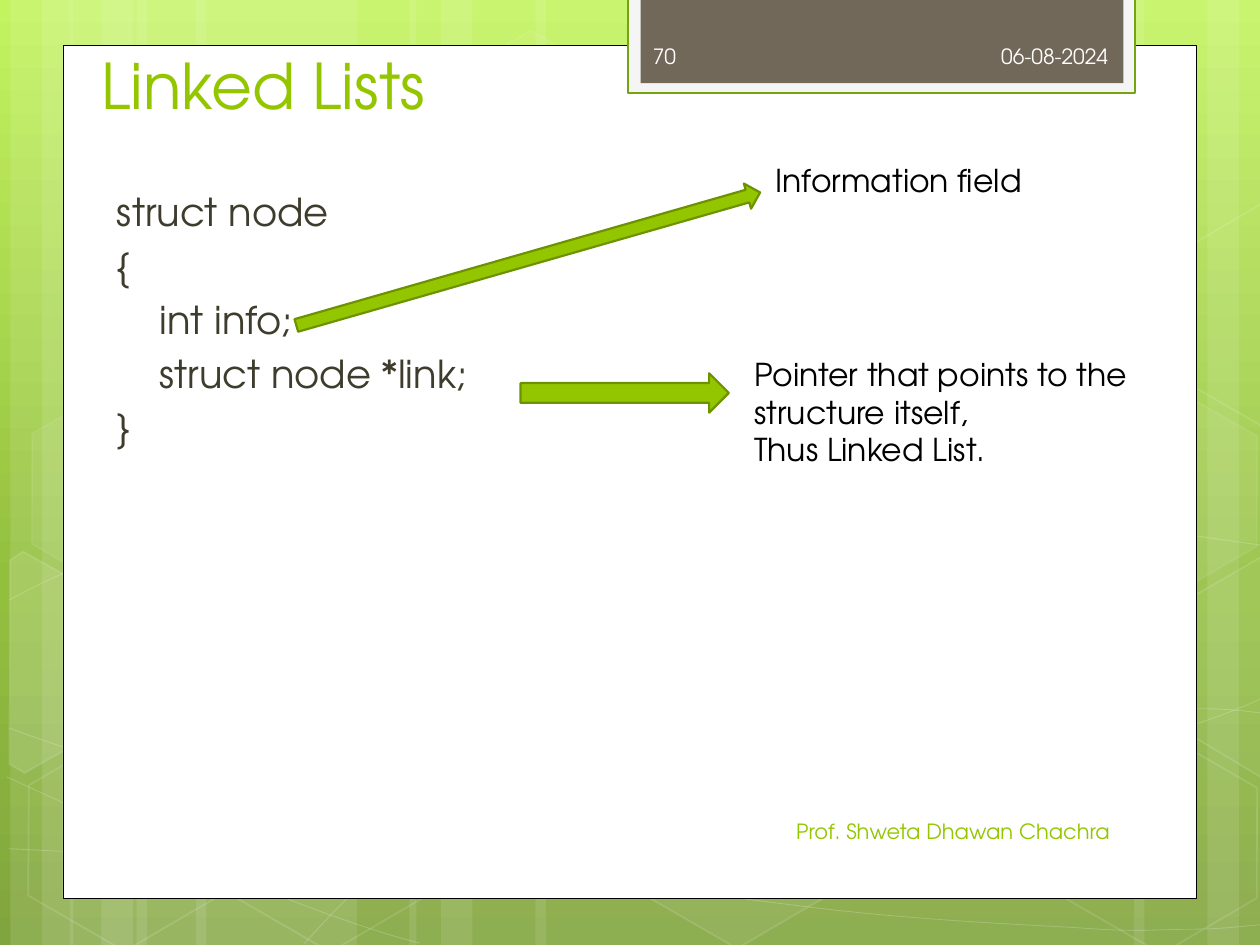
from copy import deepcopy

from lxml import etree
from pptx import Presentation
from pptx.dml.color import RGBColor
from pptx.enum import shapes, text
from pptx.oxml.ns import qn
from pptx.util import Pt

FONT = "TeX Gyre Adventor"
COLORS = {
    "white": "FFFFFF", "black": "000000", "green": "94C600",
    "dark green": "6D9200", "tab edge": "74A510", "tab": "F5F5F5",
    "brown": "71685A", "code": "3E3D2D", "pale": "FEFEFE",
    "sky top": "C3F35F", "sky middle": "93BF3F", "sky bottom": "81A53E",
}


def paint(shape, fill=None, line=None, width=1, fill_alpha=100, line_alpha=100):
    """Set fill and line; alphas are percentages of opacity."""
    shape.shadow.inherit = False
    for part, color, alpha in ((shape.fill, fill, fill_alpha),
                               (shape.line.fill, line, line_alpha)):
        if color is None:
            part.background()
            continue
        part.solid()
        part.fore_color.rgb = RGBColor.from_string(COLORS[color])
        if alpha < 100:
            owner = shape._element.spPr if part is shape.fill else shape.line._ln
            tone = owner.find(qn("a:solidFill")).find(qn("a:srgbClr"))
            etree.SubElement(tone, qn("a:alpha")).set("val", str(alpha * 1000))
    if line:
        shape.line.width = Pt(width)


def write(box, words, size, color, align=text.PP_ALIGN.LEFT, anchor=text.MSO_ANCHOR.TOP):
    frame = box.text_frame
    frame.text = words
    frame.word_wrap = True
    frame.vertical_anchor = anchor
    for para in frame.paragraphs:
        para.alignment = align
        for span in para.runs:
            span.font.name = FONT
            span.font.size = Pt(size)
            span.font.color.rgb = RGBColor.from_string(COLORS[color])


deck = Presentation()
deck.slide_width, deck.slide_height = Pt(720), Pt(540)
page = deck.slides.add_slide(deck.slide_layouts[1])

# Background gradient, top to bottom
backdrop = page.background.fill
backdrop.gradient()
backdrop.gradient_angle = 270
stop_list = page._element.xpath(".//a:gsLst")[0]
stop_list.append(deepcopy(stop_list[-1]))
for stop, color, position in zip(backdrop.gradient_stops,
                                 ("sky top", "sky middle", "sky bottom"),
                                 (0, 0.62, 1)):
    stop.color.rgb = RGBColor.from_string(COLORS[color])
    stop.position = position

# Translucent vertical stripes: left, width
for left, width in ((78, 126), (6, 36), (24, 60), (112, 126), (40, 36), (58, 60),
                    (528, 126), (690, 36), (648, 60), (306, 222), (234, 36), (252, 60)):
    stripe = page.shapes.add_shape(shapes.MSO_SHAPE.RECTANGLE,
                                   Pt(left), Pt(0), Pt(width), Pt(540))
    paint(stripe, "white", fill_alpha=10)

# Thin waves: a start point, then three Bezier points for each segment
waves = (
    ((5, 485), (44, 487), (83, 489), (137, 488), (191, 487), (258, 486), (330, 479),
     (402, 472), (504, 459), (570, 444), (636, 431), (703, 409), (725, 397)),
    ((5, 343), (26, 332), (47, 321), (87, 310), (128, 300), (186, 284), (250, 279),
     (314, 274), (392, 273), (471, 279), (550, 284), (682, 307), (725, 312)),
    ((4, 444), (91, 484), (178, 523), (240, 539)),
    ((5, 416), (27, 424), (50, 432), (92, 444), (134, 454), (197, 472), (257, 485),
     (317, 497), (392, 510), (452, 517), (512, 525), (576, 528), (614, 530),
     (652, 533), (662, 531), (680, 531), (699, 531), (712, 529), (725, 528)),
    ((174, 539), (187, 525), (200, 510), (217, 498), (235, 485), (259, 470), (279, 460),
     (300, 450), (312, 446), (338, 438), (364, 431), (413, 421), (438, 416),
     (464, 411), (467, 411), (490, 410), (512, 407), (547, 405), (572, 405),
     (597, 404), (638, 405), (638, 405), (654, 405), (670, 405), (686, 405),
     (699, 405), (711, 406), (724, 408)),
)
for wave in waves:
    builder = page.shapes.build_freeform(*wave[0], scale=Pt(1))
    builder.add_line_segments(wave[1:], close=False)
    curve = builder.convert_to_shape()
    steps = curve._element.xpath(".//a:lnTo")
    for first in range(0, len(steps), 3):
        bend = etree.Element(qn("a:cubicBezTo"))
        steps[first].addprevious(bend)
        for step in steps[first:first + 3]:
            bend.append(step[0])
            step.getparent().remove(step)
    paint(curve, line="white", width=0.5, line_alpha=20)

# Whole hexagons: left, top, fill opacity, line opacity
for left, top, fill_alpha, line_alpha in (
        (240.5, 26, 4, 8), (358, 424, 6, 12), (8, 425.5, 0, 12), (10, 224.5, 7, 8),
        (125.5, 426, 0, 12), (542, 326, 10, 12), (600.5, 427, 0, 12), (600.5, 226, 7, 8)):
    hexagon = page.shapes.add_shape(shapes.MSO_SHAPE.HEXAGON,
                                    Pt(left), Pt(top), Pt(126), Pt(109.5))
    hexagon.adjustments[0] = 0.285
    hexagon.rotation = 30
    paint(hexagon, "white" if fill_alpha else None, "white", 1, fill_alpha, line_alpha)

# Hexagons cut by the slide edge, before their turn: fill opacity, rise, corners
left_cut = ((-24, 339), (-19.5, 331), (44, 330.5), (75.5, 386), (44.5, 440), (34.5, 440))
right_cut = ((660, 374), (691, 319.5), (697.5, 319.5), (757.5, 423.5), (754.5, 429),
             (691.5, 428.5))
for fill_alpha, rise, corners in ((10, 0, left_cut), (4, 0, right_cut), (0, 201, right_cut)):
    points = [(x, y - rise) for x, y in corners]
    builder = page.shapes.build_freeform(*points[0], scale=Pt(1))
    builder.add_line_segments(points[1:], close=True)
    cut = builder.convert_to_shape()
    cut.rotation = 30
    paint(cut, "white" if fill_alpha else None, "white", 1, fill_alpha, 12)

# White sheet and the tab at its top
for left, top, width, height, fill, line, weight in (
        (36, 26, 648, 487.2, "white", "black", 0.5),
        (359, -1.5, 289.5, 54.8, "tab", "tab edge", 1.25),
        (366, -1.5, 276, 49, "brown", None, 0)):
    panel = page.shapes.add_shape(shapes.MSO_SHAPE.RECTANGLE,
                                  Pt(left), Pt(top), Pt(width), Pt(height))
    paint(panel, fill, line, weight)

# Title and code, brought in front of the sheet
title, body = page.shapes.title, page.placeholders[1]
for holder, left, top, width, height in ((title, 50.8, 37.4, 553, 36),
                                         (body, 59.6, 103.8, 533.5, 276.5)):
    holder.left, holder.top = Pt(left), Pt(top)
    holder.width, holder.height = Pt(width), Pt(height)
    page.shapes._spTree.append(holder._element)
write(title, "Linked Lists", 36, "green", anchor=text.MSO_ANCHOR.BOTTOM)
write(body, "struct node\n{\n    int info;\n    struct node *link;\n}", 22, "code")
for index, para in enumerate(body.text_frame.paragraphs):
    properties = para._p.get_or_add_pPr()
    properties.set("marL", "0")
    properties.set("indent", "0")
    etree.SubElement(properties, qn("a:buNone"))
    para.space_before = Pt(4.4 if index else 0)

# Arrows from the fields to their explanations
for left, top, width, height, angle in ((297.5, 213.3, 119, 22.5, 0),
                                        (164, 140.5, 275.7, 15, 344)):
    arrow = page.shapes.add_shape(shapes.MSO_SHAPE.RIGHT_ARROW,
                                  Pt(left), Pt(top), Pt(width), Pt(height))
    arrow.rotation = angle
    paint(arrow, "green", "dark green", 1.25)

# Explanations, date, footer and slide number
LEFT, RIGHT = text.PP_ALIGN.LEFT, text.PP_ALIGN.RIGHT
TOP, MIDDLE = text.MSO_ANCHOR.TOP, text.MSO_ANCHOR.MIDDLE
for left, top, width, height, words, size, color, align, anchor in (
        (424, 199.2, 230.4, 72.7,
         "Pointer that points to the structure itself,\nThus Linked List.",
         18, "black", LEFT, TOP),
        (436.2, 88.5, 230.4, 29, "Information field", 18, "black", LEFT, TOP),
        (472.3, 17.7, 168, 28.8, "06-08-2024", 12, "pale", RIGHT, MIDDLE),
        (365.8, 460.6, 275.5, 28.8, "Prof. Shweta Dhawan Chachra", 12, "green", RIGHT, MIDDLE),
        (366, 17.7, 105, 28.8, "70", 12, "pale", LEFT, MIDDLE)):
    box = page.shapes.add_textbox(Pt(left), Pt(top), Pt(width), Pt(height))
    write(box, words, size, color, align, anchor)

deck.save("out.pptx")
